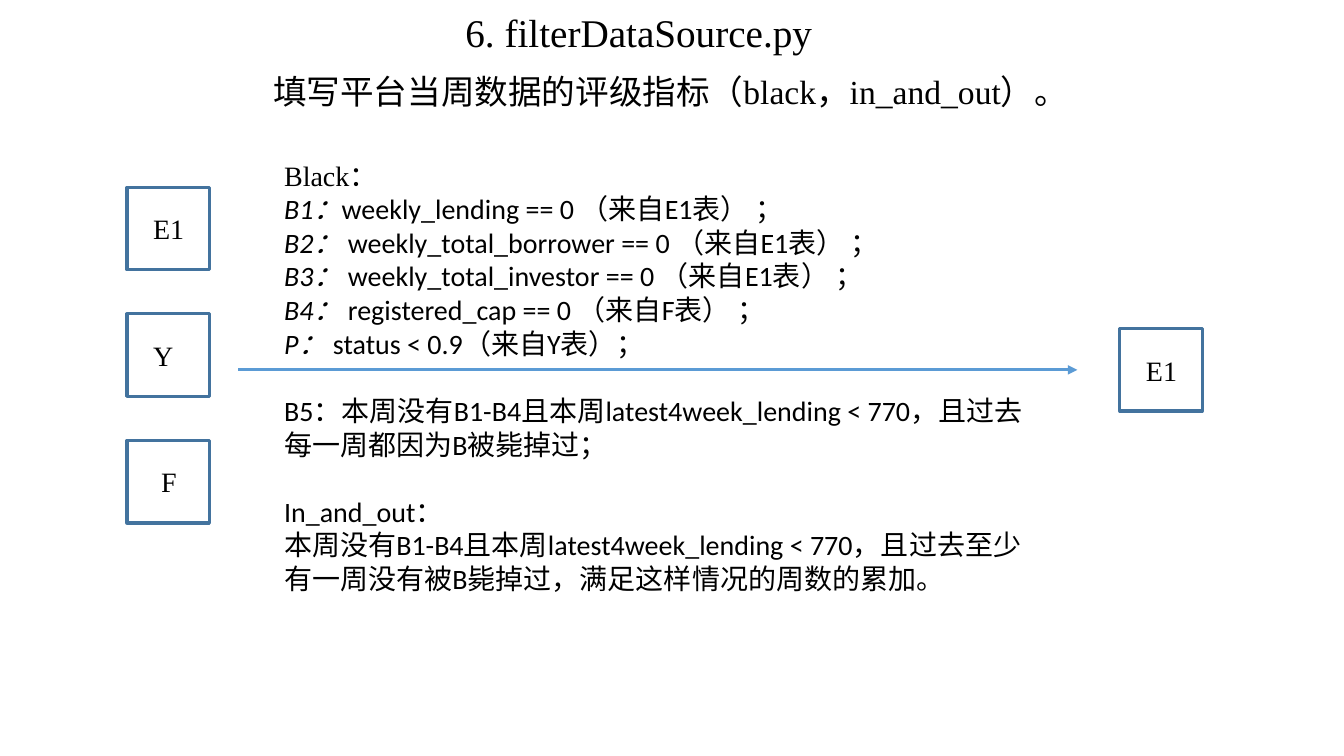
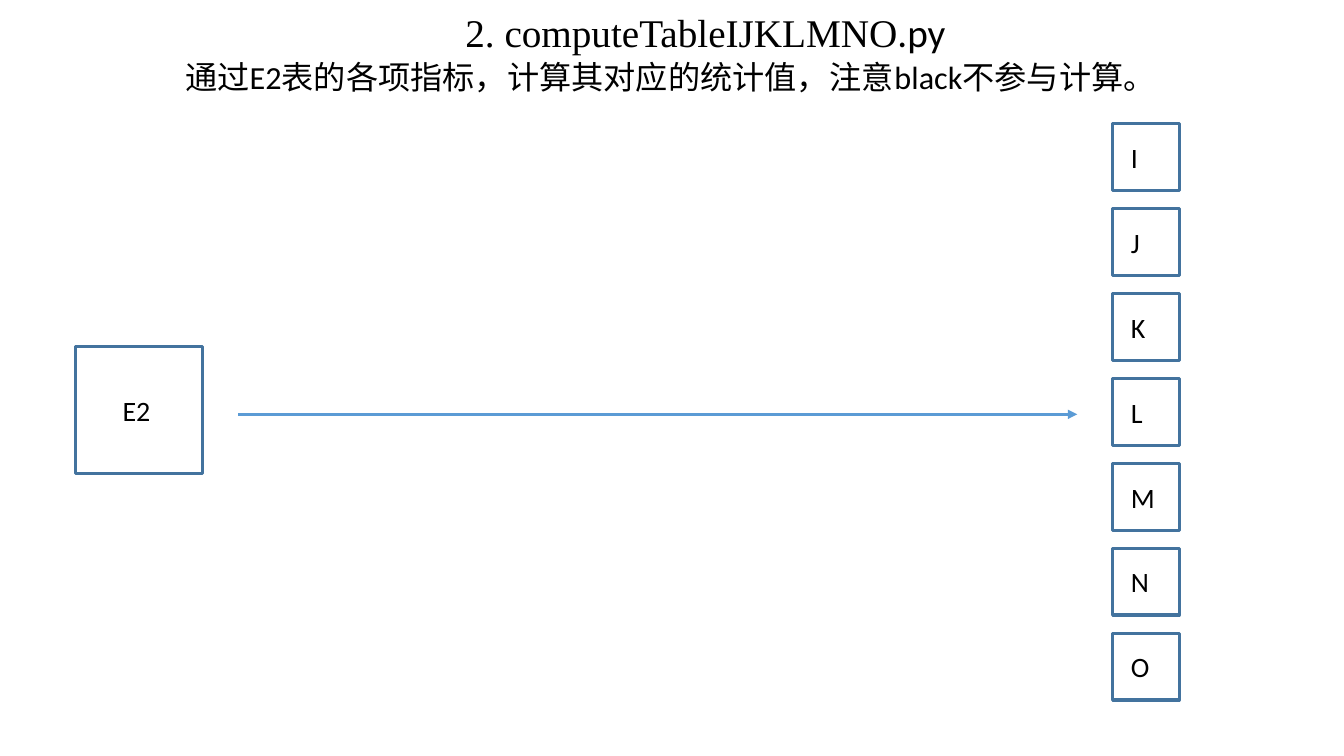
from dataclasses import dataclass
from lxml import etree
from pptx import Presentation
from pptx import util as u
from pptx.dml.color import RGBColor
from pptx.enum import shapes, text
from pptx.oxml import ns


@dataclass(frozen=True)
class Theme:
    ink: RGBColor = RGBColor(0x00, 0x00, 0x00)
    outline: RGBColor = RGBColor(0x43, 0x73, 0x9E)
    arrow: RGBColor = RGBColor(0x5B, 0x9B, 0xD5)
    background: RGBColor = RGBColor(0xFF, 0xFF, 0xFF)
    serif: str = "Times New Roman"
    sans: str = "Calibri"
    title: int = 28
    body: int = 20
    line: float = 2.25


theme = Theme()


def write(para, spans, size):
    """Each span is (words, font name, italic)."""
    for words, font, italic in spans:
        span = para.add_run()
        span.text = words
        style = {"name": font, "size": u.Pt(size), "italic": italic}
        for key, value in style.items():
            setattr(span.font, key, value)
        span.font.color.rgb = theme.ink


def add_text(page, left, top, width, height, paragraphs, size, align=text.PP_ALIGN.LEFT):
    """Each paragraph is (space before in points, spans)."""
    box = page.shapes.add_textbox(u.Cm(left), u.Cm(top), u.Cm(width), u.Cm(height))
    frame = box.text_frame
    frame.word_wrap = True
    for index, (space, spans) in enumerate(paragraphs):
        para = frame.add_paragraph() if index else frame.paragraphs[0]
        para.alignment = align
        if space:
            para.space_before = u.Pt(space)
        write(para, spans, size)


# Content: boxes are (label, left, top, side, left inset)
slides = [
    {
        "title": [("6. filterDataSource.py", theme.serif, False)],
        "subtitle": "填写平台当周数据的评级指标（black，in_and_out）。",
        "subtitle_top": 1.65,
        "subtitle_size": 24,
        "font": theme.serif,
        "arrow_top": 9.32,
        "boxes": [(label, 3.2, 4.72 + 3.19 * row, 2.08, inset)
                  for row, (label, inset) in enumerate([("E1", 0.66), ("Y", 0.66), ("F", 0.86)])]
        + [("E1", 28.22, 8.28, 2.08, 0.66)],
    },
    {
        "title": [("2. computeTableIJKLMNO", theme.serif, False), (".py", theme.sans, False)],
        "subtitle": "通过E2表的各项指标，计算其对应的统计值，注意black不参与计算。",
        "subtitle_top": 1.32,
        "subtitle_size": 23,
        "font": theme.sans,
        "arrow_top": 10.44,
        "boxes": [("E2", 1.9, 8.74, 3.2, 1.19)]
        + [(label, 28.04, 3.12 + 2.14 * row, 1.68, 0.46) for row, label in enumerate("IJKLMNO")],
    },
]

rules = [
    ("B1：", "weekly_lending == 0 （来自E1表） ；"),
    ("B2： ", "weekly_total_borrower == 0 （来自E1表） ；"),
    ("B3： ", "weekly_total_investor == 0 （来自E1表） ；"),
    ("B4： ", "registered_cap == 0 （来自F表） ；"),
    ("P：", " status < 0.9（来自Y表）；"),
]
blank_line = 24
notes = [
    (blank_line, "B5：本周没有B1-B4且本周latest4week_lending < 770，且过去每一周都因为B被毙掉过；"),
    (blank_line, "In_and_out："),
    (0, "本周没有B1-B4且本周latest4week_lending < 770，且过去至少有一周没有被B毙掉过，"
        "满足这样情况的周数的累加。"),
]

deck = Presentation()
deck.slide_width, deck.slide_height = u.Cm(33.87), u.Cm(19.05)

for content in slides:
    page = deck.slides.add_slide(deck.slide_layouts[6])
    page.background.fill.solid()
    page.background.fill.fore_color.rgb = theme.background

    # Title and subtitle
    add_text(page, 11.48, 0.08, 12.85, 1.45, [(0, content["title"])], theme.title)
    add_text(page, 0.4, content["subtitle_top"], 33, 1.27,
             [(0, [(content["subtitle"], content["font"], False)])],
             content["subtitle_size"], text.PP_ALIGN.CENTER)

    # Arrow from inputs to outputs
    height = u.Cm(content["arrow_top"])
    arrow = page.shapes.add_connector(shapes.MSO_CONNECTOR.STRAIGHT,
                                      u.Cm(6), height, u.Cm(27.15), height)
    arrow.line.color.rgb = theme.arrow
    arrow.line.width = u.Pt(theme.line)
    etree.SubElement(arrow.line._get_or_add_ln(), ns.qn("a:tailEnd"), type="triangle")
    etree.SubElement(arrow._element.spPr, ns.qn("a:effectLst"))

    # Table boxes
    for label, left, top, side, inset in content["boxes"]:
        box = page.shapes.add_shape(shapes.MSO_SHAPE.RECTANGLE,
                                    u.Cm(left), u.Cm(top), u.Cm(side), u.Cm(side))
        box.shadow.inherit = False
        box.fill.background()
        box.line.color.rgb = theme.outline
        box.line.width = u.Pt(theme.line)
        frame_style = {"margin_left": u.Cm(inset), "margin_right": 0, "word_wrap": False,
                       "vertical_anchor": text.MSO_ANCHOR.MIDDLE}
        for key, value in frame_style.items():
            setattr(box.text_frame, key, value)
        para = box.text_frame.paragraphs[0]
        para.alignment = text.PP_ALIGN.LEFT
        write(para, [(label, content["font"], False)], theme.body)

# Rating rules on the first slide
paragraphs = [(0, [("Black：", theme.serif, False)])]
paragraphs += [(0, [(name, theme.sans, True), (rule, theme.sans, False)]) for name, rule in rules]
paragraphs += [(space, [(note, theme.sans, False)]) for space, note in notes]
add_text(deck.slides[0], 6.91, 3.86, 19.69, 11.38, paragraphs, theme.body)

deck.save("out.pptx")
